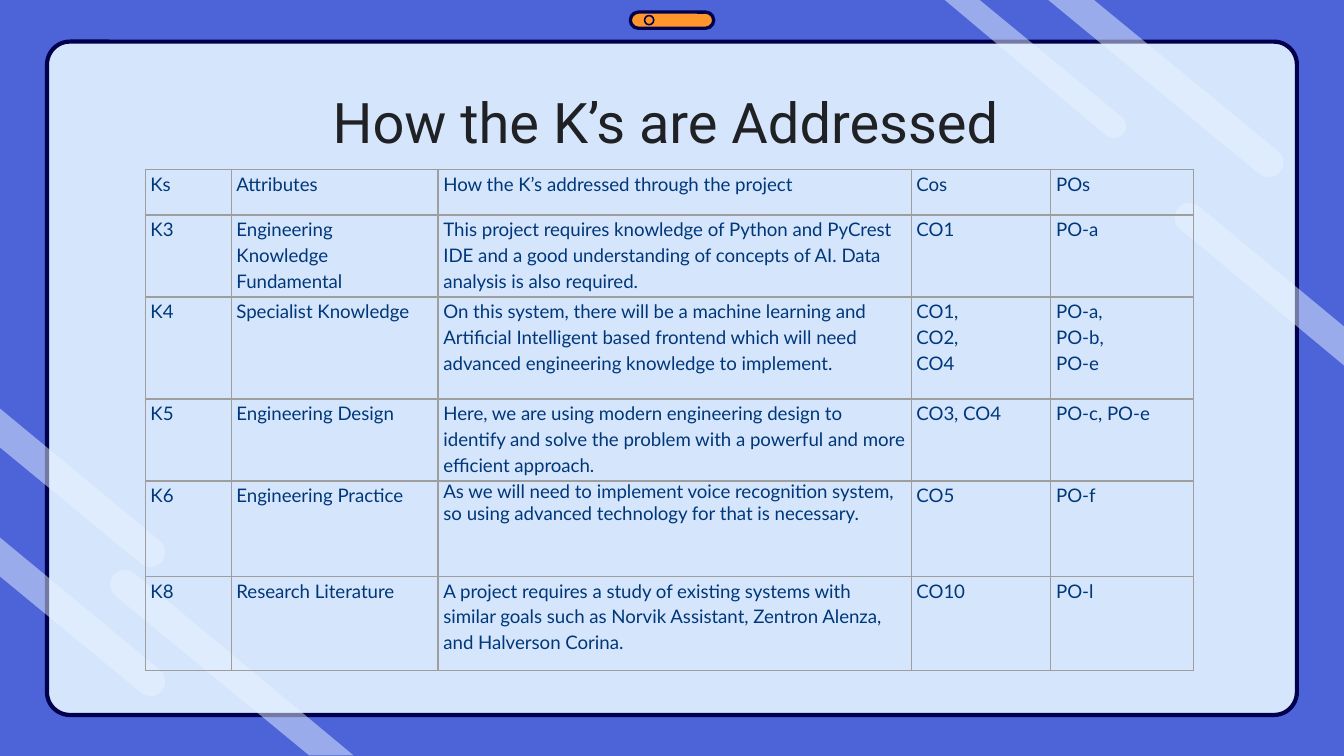
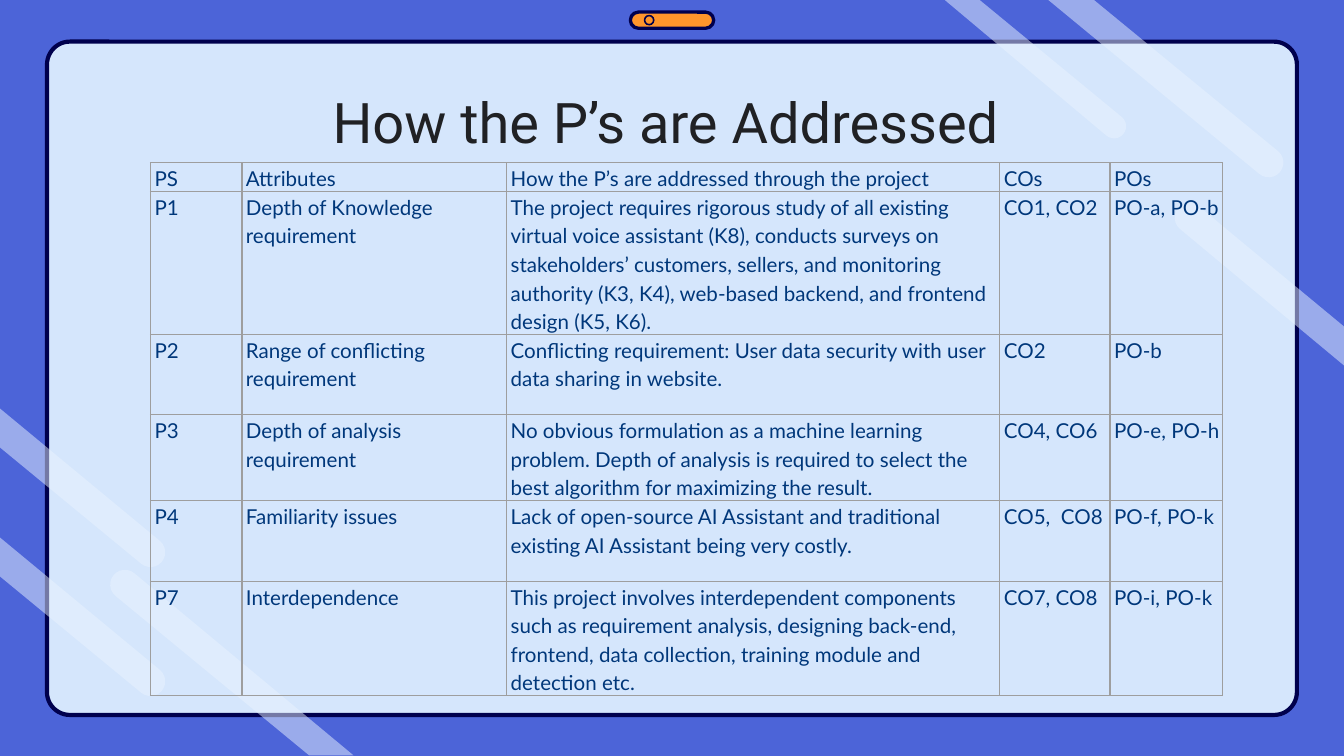
from math import cos, radians, sin

from lxml.etree import SubElement
from pptx import Presentation
from pptx.dml.color import RGBColor as Rgb
from pptx.enum.shapes import MSO_SHAPE as Kind
from pptx.enum.text import MSO_ANCHOR as Anchor, MSO_AUTO_SIZE as Fit, PP_ALIGN as Align
from pptx.oxml import parse_xml
from pptx.oxml.ns import nsdecls, qn
from pptx.util import Inches, Pt

HUES = {
    "back": "4C64D8",
    "panel": "D5E6FC",
    "navy": "00004D",
    "glare": "E9F3FF",
    "pill": "FF952B",
    "title": "202124",
    "text": "00377A",
    "rule": "9E9E9E",
}

DOWN, UP = 40, 220
STRIPES = [
    ((7.8, 0), (8.14, 0), (9.44, 1.21), 0.11, DOWN),
    ((7.03, 0), (7.29, 0), (8.29, 0.94), 0.09, DOWN),
    ((2.63, 5.62), (2.3, 5.62), (0.93, 4.35), 0.11, UP),
    ((0, 4.29), (0, 4), (1.12, 5.07), 0.11, DOWN),
    ((0, 3.33), (0, 3.04), (1.12, 4.11), 0.11, DOWN),
    ((10, 2.43), (10, 2.72), (8.85, 1.62), 0.11, UP),
]

K_ROWS = [
    ["Ks", "Attributes", "How the K’s addressed through the project", "Cos", "POs"],
    ["K3", "Engineering\nKnowledge\nFundamental",
     "This project requires knowledge of Python and PyCrest IDE and a good "
     "understanding of concepts of AI. Data analysis is also required.",
     "CO1", "PO-a"],
    ["K4", "Specialist Knowledge",
     "On this system, there will be a machine learning and Artificial Intelligent "
     "based frontend which will need advanced engineering knowledge to implement.",
     "CO1,\nCO2,\nCO4", "PO-a,\nPO-b,\nPO-e"],
    ["K5", "Engineering Design",
     "Here, we are using modern engineering design to identify and solve the "
     "problem with a powerful and more efficient approach.",
     "CO3, CO4", "PO-c, PO-e"],
    ["K6", "Engineering Practice",
     "As we will need to implement voice recognition system, so using advanced "
     "technology for that is necessary.",
     "CO5", "PO-f"],
    ["K8", "Research Literature",
     "A project requires a study of existing systems with similar goals such as "
     "Norvik Assistant, Zentron Alenza, and Halverson Corina.",
     "CO10", "PO-l"],
]

P_ROWS = [
    ["PS", "Attributes", "How the P’s are addressed through the project", "COs", "POs"],
    ["P1", "Depth of Knowledge requirement",
     "The project requires rigorous study of all existing virtual voice assistant "
     "(K8), conducts surveys on stakeholders’ customers, sellers, and monitoring "
     "authority (K3, K4), web-based backend, and frontend design (K5, K6).",
     "CO1, CO2", "PO-a, PO-b"],
    ["P2", "Range of conflicting requirement",
     "Conflicting requirement: User data security with user data sharing in website.",
     "CO2", "PO-b"],
    ["P3", "Depth of analysis requirement",
     "No obvious formulation as a machine learning problem. Depth of analysis is "
     "required to select the best algorithm for maximizing the result.",
     "CO4, CO6", "PO-e, PO-h"],
    ["P4", "Familiarity issues",
     "Lack of open-source AI Assistant and traditional existing AI Assistant being "
     "very costly.",
     "CO5,  CO8", "PO-f, PO-k"],
    ["P7", "Interdependence",
     "This project involves interdependent components such as requirement analysis, "
     "designing back-end, frontend, data collection, training module and detection etc.",
     "CO7, CO8", "PO-i, PO-k"],
]


def hue(name):
    return Rgb.from_string(HUES[name])


class Deck:
    def __init__(self):
        self.prs = Presentation()
        self.prs.slide_width = Inches(10)
        self.prs.slide_height = Inches(10 * 9 / 16)
        self.base = self.prs.slide_layouts[5]
        self.slide = None

    def start(self, title):
        self.slide = self.prs.slides.add_slide(self.base)
        self.head(title)

    def head(self, title):
        box = self.slide.shapes.title
        box.left, box.top = Inches(1.94), Inches(0.68)
        box.width, box.height = Inches(6.13), Inches(0.47)
        frame = box.text_frame
        frame.text = title
        frame.auto_size, frame.word_wrap = Fit.NONE, True
        frame.vertical_anchor = Anchor.BOTTOM
        frame.margin_left = frame.margin_right = 0
        frame.margin_top = frame.margin_bottom = 0
        para = frame.paragraphs[0]
        para.alignment = Align.CENTER
        self.font(para, "Roboto", 30, "title")

    def font(self, para, name, size, color):
        para.font.name, para.font.size = name, Pt(size)
        para.font.color.rgb = hue(color)

    def paint(self, shape, fill, line=0):
        shape.shadow.inherit = False
        shape.fill.solid()
        shape.fill.fore_color.rgb = hue(fill)
        if line:
            shape.line.color.rgb = hue("navy")
            shape.line.width = Pt(line)
        else:
            shape.line.fill.background()
        self.base.shapes._spTree.append(shape._element)

    def shape(self, kind, at, fill, adj, line=0):
        item = self.slide.shapes.add_shape(kind, *map(Inches, at))
        item.adjustments[0] = adj
        self.paint(item, fill, line)

    def stripe(self, first, last, tip, size, turn):
        arc = [radians(turn + step) for step in range(90, -91, -15)]
        dots = [(tip[0] + size * cos(a), tip[1] + size * sin(a)) for a in arc]
        dots = [(Inches(x), Inches(y)) for x, y in [first, *dots, last]]
        pen = self.slide.shapes.build_freeform(*dots[0])
        pen.add_line_segments(dots[1:])
        item = pen.convert_to_shape()
        self.paint(item, "glare")
        tint = item._element.spPr.find(f"{qn('a:solidFill')}/{qn('a:srgbClr')}")
        SubElement(tint, qn("a:alpha")).set("val", "50000")

    def decor(self):
        fill = self.base.background.fill
        fill.solid()
        fill.fore_color.rgb = hue("back")
        self.shape(Kind.ROUNDED_RECTANGLE, (0.35, 0.31, 9.3, 5.01), "panel", 0.034, 2.25)
        for stripe in STRIPES:
            self.stripe(*stripe)
        self.shape(Kind.ROUNDED_RECTANGLE, (4.69, 0.09, 0.62, 0.12), "pill", 0.5, 1.75)
        self.shape(Kind.DONUT, (4.79, 0.11, 0.08, 0.08), "navy", 0.15)

    def edge(self, cell):
        for spot, side in enumerate("LRTB"):
            cell._tc.get_or_add_tcPr().insert(spot, parse_xml(
                f'<a:ln{side} {nsdecls("a")} w="{Pt(0.75)}"><a:solidFill>'
                f'<a:srgbClr val="{HUES["rule"]}"/></a:solidFill></a:ln{side}>'))

    def cell(self, cell, text, size, pads):
        cell.fill.background()
        self.edge(cell)
        cell.margin_left, cell.margin_right = map(Inches, pads)
        cell.margin_top = cell.margin_bottom = 0
        cell.text = text
        for para in cell.text_frame.paragraphs:
            para.line_spacing = 1.15
            self.font(para, "Lato", size, "text")

    def table(self, spot, wide, high, rows, size, pads):
        area = (*spot, sum(wide), sum(high))
        grid = self.slide.shapes.add_table(len(rows), len(wide), *map(Inches, area)).table
        grid.first_row = grid.horz_banding = False
        for col, width in zip(grid.columns, wide):
            col.width = Inches(width)
        for row, height, texts in zip(grid.rows, high, rows):
            row.height = Inches(height)
            for cell, text in zip(row.cells, texts):
                self.cell(cell, text, size, pads)
        return grid


def main():
    deck = Deck()
    deck.start("How the K’s are Addressed ")
    deck.decor()
    grid = deck.table((1.08, 1.26), [0.64, 1.54, 3.52, 1.04, 1.06],
                      [0.34, 0.61, 0.76, 0.61, 0.71, 0.7], K_ROWS, 10, (0.04, 0.03))
    grid.cell(4, 2).text_frame.paragraphs[0].line_spacing = 0.99

    deck.start("How the P’s are Addressed ")
    deck.table((1.12, 1.21), [0.68, 1.97, 3.67, 0.82, 0.84],
               [0.21, 1.01, 0.6, 0.6, 0.6, 0.81], P_ROWS, 11, (0.03, 0.01))
    deck.prs.save("out.pptx")


if __name__ == "__main__":
    main()
